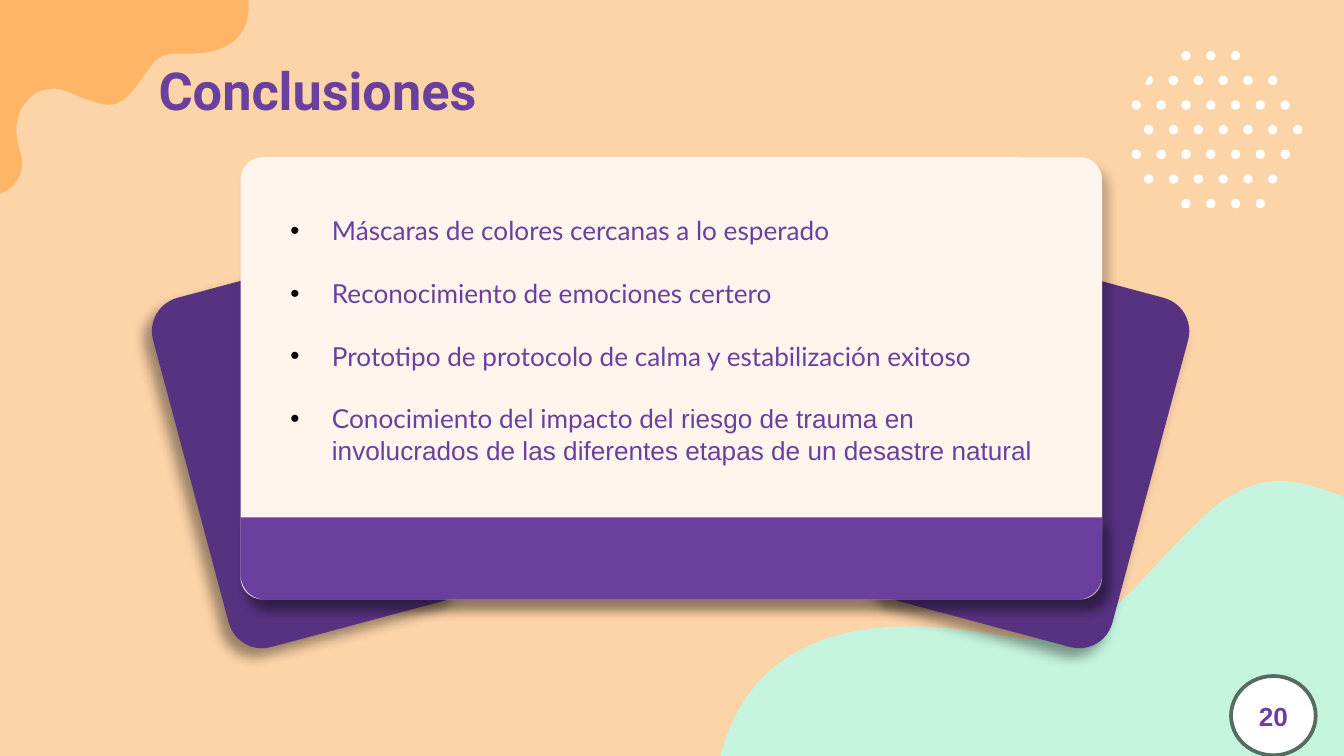
from lxml import etree
from pptx import Presentation
from pptx.dml.color import RGBColor
from pptx.enum.shapes import MSO_SHAPE as Kind
from pptx.enum.text import MSO_ANCHOR as Anchor, MSO_AUTO_SIZE as Fit, PP_ALIGN as Align
from pptx.oxml.ns import qn
from pptx.util import Inches, Pt

HUE = {
    "peach": "FDD3A8", "orange": "FFB566", "mint": "C4F4DE", "white": "FFFFFF",
    "cream": "FFF5ED", "violet": "6B3F9E", "plum": "573281", "grey": "566B61",
    "black": "000000",
}

# Each curve: start point, then Bezier triples (6 numbers) or line ends (2)
WAVE = [(4.16, 0), (3.9, 0, 3.68, .15, 3.37, .49), (2.88, 1.01, 2.74, 1.18, 2.4, 1.18),
        (2.29, 1.18, 2.17, 1.16, 2.02, 1.14), (1.8, 1.1, 1.6, 1.08, 1.41, 1.08),
        (.69, 1.08, .17, 1.37, 0, 2.05), (4.64, 2.05), (4.64, .12),
        (4.45, .04, 4.3, 0, 4.16, 0)]
SPLASH = [(0, 0), (0, 1.44), (.12, 1.4, .21, 1.27, .14, 1.09), (.09, .92, .15, .77, .27, .69),
          (.32, .67, .36, .66, .4, .66), (.49, .66, .57, .72, .68, .75),
          (.73, .77, .77, .78, .81, .78), (.89, .78, .95, .73, 1.03, .62),
          (1.16, .44, 1.18, .4, 1.31, .4), (1.33, .4, 1.37, .4, 1.4, .4),
          (1.68, .4, 1.87, .29, 1.85, 0)]
CHIP = [(.04, 0), (.02, .02, .01, .04, 0, .06), (0, .07, .01, .07, .02, .07),
        (.04, .07, .06, .05, .06, .04), (.06, .02, .05, .01, .04, 0)]

# First and last half-step column of each dot row
ROWS = [(4, 8), (3, 11), (0, 12), (1, 13), (0, 12), (1, 11), (4, 10)]

POINTS = [
    [("Máscaras de colores cercanas a lo esperado", "Lato")],
    [("Reconocimiento de emociones certero", "Lato")],
    [("Prototipo de protocolo de calma y estabilización exitoso", "Lato")],
    [("Conocimiento del impacto del ", "Lato"),
     ("riesgo de trauma en involucrados de las diferentes etapas de un desastre natural",
      "Arial")],
]


def tint(name):
    return RGBColor.from_string(HUE[name])


def paint(shape, hue):
    shape.shadow.inherit = False
    shape.fill.solid()
    shape.fill.fore_color.rgb = tint(hue)
    shape.line.fill.background()
    return shape


def add(slide, kind, box, hue):
    return paint(slide.shapes.add_shape(kind, *map(Inches, box)), hue)


def place(shape, box):
    shape.left, shape.top, shape.width, shape.height = map(Inches, box)


def style(run, font, size, bold=None):
    run.font.name, run.font.size, run.font.bold = font, Pt(size), bold
    run.font.color.rgb = tint("violet")


def inset(frame, size):
    frame.margin_left = frame.margin_right = Inches(size)
    frame.margin_top = frame.margin_bottom = Inches(size)


def shade(shape, alpha, blur, dist, angle):
    """Give the shape a soft outer shadow."""
    effects = shape.element.spPr.find(qn("a:effectLst"))
    outer = etree.SubElement(effects, qn("a:outerShdw"), blurRad=str(Pt(blur)),
                             dist=str(Pt(dist)), dir=str(angle * 60000), rotWithShape="0")
    color = etree.SubElement(outer, qn("a:srgbClr"), val=HUE["black"])
    etree.SubElement(color, qn("a:alpha"), val=str(alpha * 1000))


def trace(curve, steps=16):
    """Turn a curve into a list of points."""
    dots = [curve[0]]
    for part in curve[1:]:
        if len(part) == 2:
            dots.append(part)
            continue
        start, one, two, end = dots[-1], part[:2], part[2:4], part[4:]
        for n in range(1, steps + 1):
            t = n / steps
            u = 1 - t
            dots.append(tuple(u**3 * a + 3 * u * u * t * b + 3 * u * t * t * c + t**3 * d
                              for a, b, c, d in zip(start, one, two, end)))
    return dots


def blob(slide, left, top, curve, hue):
    dots = [(Inches(left + x), Inches(top + y)) for x, y in trace(curve)]
    form = slide.shapes.build_freeform(*dots[0])
    form.add_line_segments(dots[1:], close=True)
    paint(form.convert_to_shape(), hue)


def dot_field(slide, left, top, width, height, size=.07):
    across, down = (width - size) / 13, (height - size) / 6
    for row, (first, last) in enumerate(ROWS):
        for col in range(first, last + 1, 2):
            box = (left + col * across, top + row * down, size, size)
            add(slide, Kind.OVAL, box, "white")
    blob(slide, left + .1, top + down, CHIP, "white")


def backdrop(slide):
    slide.background.fill.solid()
    slide.background.fill.fore_color.rgb = tint("peach")
    blob(slide, 5.36, 3.58, WAVE, "mint")
    blob(slide, 0, 0, SPLASH, "orange")
    dot_field(slide, 8.42, .38, 1.27, 1.17)


def heading(slide, box):
    title = slide.shapes.title
    place(title, box)
    slide.shapes.element.append(title.element)  # above the backdrop
    frame = title.text_frame
    frame.text = "Conclusiones"
    frame.auto_size, frame.vertical_anchor = Fit.NONE, Anchor.TOP
    inset(frame, .1)
    frame.paragraphs[0].alignment = Align.LEFT
    style(frame.paragraphs[0].runs[0], "Roboto", 28, True)


def cards(slide, left, top, width, height):
    # Tilted cards behind
    for shift, turn in ((-.4, -15), (width - 1.44, 15)):
        card = add(slide, Kind.ROUNDED_RECTANGLE, (left + shift, top + .83, 1.83, 2.69), "plum")
        card.adjustments[0] = .14
        card.rotation = turn
        shade(card, 38, 6.8, 6, 131)
    # Main panel and its bottom band
    panel = add(slide, Kind.ROUNDED_RECTANGLE, (left, top, width, height), "cream")
    panel.adjustments[0] = .05
    band = add(slide, Kind.ROUND_2_SAME_RECTANGLE,
               (left, top + height - .61, width, .61), "violet")
    band.adjustments[0] = .3
    band.rotation = 180
    for part in (panel, band):
        shade(part, 23, 5.6, 6.8, 57)


def bullet(para):
    props = para._p.get_or_add_pPr()
    props.set("marL", str(Inches(.31)))
    props.set("indent", str(-Inches(.31)))
    color = etree.SubElement(props, qn("a:buClr"))
    etree.SubElement(color, qn("a:srgbClr"), val=HUE["black"])
    etree.SubElement(props, qn("a:buFont"), typeface="Arial")
    etree.SubElement(props, qn("a:buChar"), char="•")


def points(slide, box):
    body = slide.placeholders[1]
    place(body, box)
    slide.shapes.element.append(body.element)  # in front of the panel
    frame = body.text_frame
    frame.auto_size, frame.vertical_anchor = Fit.NONE, Anchor.MIDDLE
    frame.word_wrap = True
    inset(frame, .1)
    frame.margin_bottom = Inches(.32)
    for n, parts in enumerate(POINTS):
        para = frame.add_paragraph() if n else frame.paragraphs[0]
        bullet(para)
        para.space_before = Pt(16.8 if n else 0)
        for text, font in parts:
            run = para.add_run()
            run.text = text
            style(run, font, 14)


def badge(slide, box):
    disc = add(slide, Kind.OVAL, box, "white")
    disc.line.color.rgb = tint("grey")
    disc.line.width = Pt(2)
    frame = disc.text_frame
    frame.text = "20"
    frame.vertical_anchor = Anchor.MIDDLE
    inset(frame, 0)
    frame.paragraphs[0].alignment = Align.CENTER
    style(frame.paragraphs[0].runs[0], "Arial", 14, True)


def main():
    deck = Presentation()
    deck.slide_width = Inches(10)
    deck.slide_height = deck.slide_width * 9 // 16
    slide = deck.slides.add_slide(deck.slide_layouts[1])
    backdrop(slide)
    heading(slide, (1.08, .33, 8.44, .63))
    cards(slide, 1.79, 1.17, 6.41, 3.29)
    badge(slide, (9.16, 5.03, .63, .59))
    points(slide, (2.06, 1.54, 5.87, 2.2))
    deck.save("out.pptx")


if __name__ == "__main__":
    main()
